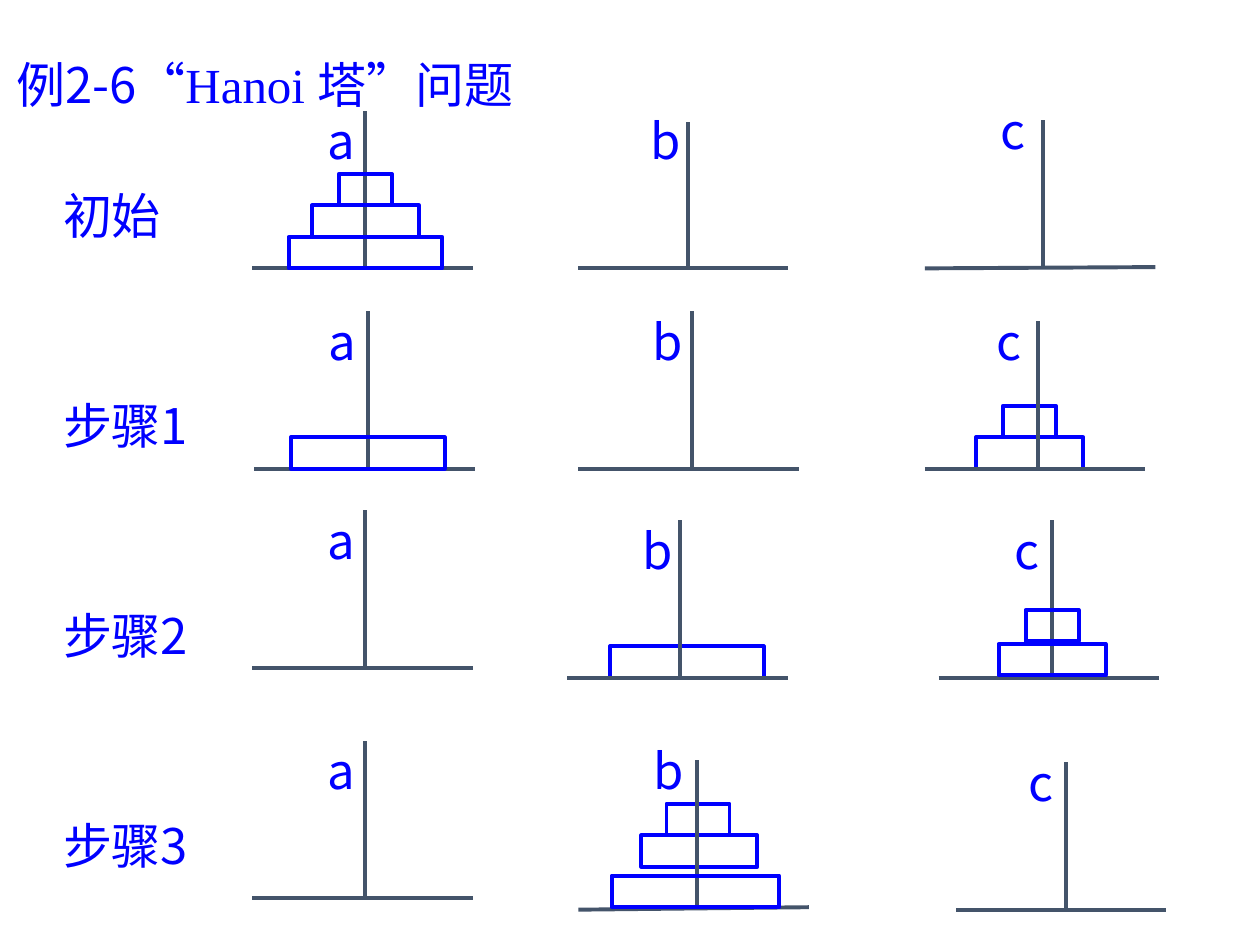
import pptx
import pptx.util
import pptx.dml.color
import pptx.enum.shapes
import pptx.enum.text
import pptx.oxml.ns
from lxml import etree

BLUE, SLATE = "0000FF", "44546A"
SANS, SERIF = "Noto Sans CJK SC", "Times New Roman"
LINE_WIDTH, TEXT_SIZE = 2.25, 28
TEXT_HEIGHT, DISK_HEIGHT = 0.47, 0.25

TITLE = [("例2-6“", SANS), ("Hanoi ", SERIF), ("塔”问题", SANS)]
STEPS = ["初始", "步骤1", "步骤2", "步骤3"]
STEP_LEFT, STEP_TOP, STEP_PITCH = 0.5, 1.47, 5 / 3

# Each peg: name, label (left, top, width), base (left, right, left y, right y),
# pole (x, top, foot), disks from bottom to top (centre, top, width),
# and whether each disk lies behind the pole
PEGS = [
    ("a", (2.6, 0.88, 0.25), (2, 3.75, 2.13, 2.13), (2.9, 0.88, 2.13),
     [(2.9, 1.88, 1.22, False), (2.9, 1.63, 0.85, False), (2.9, 1.38, 0.42, False)]),
    ("b", (5.16, 0.88, 0.33), (4.59, 6.25, 2.13, 2.13), (5.46, 0.97, 2.13), []),
    ("c", (7.94, 0.8, 0.58), (7.34, 9.17, 2.13, 2.12), (8.28, 0.95, 2.12), []),

    ("a", (2.61, 2.47, 0.25), (2.02, 3.77, 3.72, 3.72), (2.92, 2.47, 3.72),
     [(2.92, 3.47, 1.22, False)]),
    ("b", (5.18, 2.47, 0.25), (4.59, 6.34, 3.72, 3.72), (5.49, 2.47, 3.72), []),
    ("c", (7.91, 2.47, 0.33), (7.34, 9.09, 3.72, 3.72), (8.24, 2.55, 3.72),
     [(8.17, 3.47, 0.85, True), (8.17, 3.22, 0.42, True)]),

    ("a", (2.6, 4.05, 0.25), (2, 3.75, 5.3, 5.3), (2.9, 4.05, 5.3), []),
    ("b", (5.1, 4.13, 0.25), (4.5, 6.25, 5.38, 5.38), (5.4, 4.13, 5.38),
     [(5.45, 5.13, 1.22, True)]),
    ("c", (8.05, 4.13, 0.25), (7.45, 9.2, 5.38, 5.38), (8.35, 4.13, 5.38),
     [(8.35, 5.11, 0.85, False), (8.35, 4.84, 0.42, False)]),

    ("a", (2.6, 5.88, 0.25), (2, 3.75, 7.13, 7.13), (2.9, 5.88, 7.13), []),
    ("b", (5.19, 5.88, 0.58), (4.59, 6.42, 7.22, 7.2), (5.53, 6.03, 7.2),
     [(5.52, 6.95, 1.33, False), (5.55, 6.63, 0.92, True), (5.54, 6.38, 0.5, True)]),
    ("c", (8.16, 5.97, 0.33), (7.59, 9.25, 7.22, 7.22), (8.46, 6.05, 7.22), []),
]


def inches(*values):
    return [pptx.util.Inches(value) for value in values]


def color(value):
    return pptx.dml.color.RGBColor.from_string(value)


def style_line(shape, value):
    shape.line.color.rgb = color(value)
    shape.line.width = pptx.util.Pt(LINE_WIDTH)


def write(box, spans):
    frame = box.text_frame
    frame.word_wrap = True
    frame.auto_size = pptx.enum.text.MSO_AUTO_SIZE.NONE
    frame.vertical_anchor = pptx.enum.text.MSO_ANCHOR.TOP
    frame.margin_left = frame.margin_right = frame.margin_top = frame.margin_bottom = 0
    para = frame.paragraphs[0]
    para.alignment = pptx.enum.text.PP_ALIGN.LEFT
    for text, font in spans:
        span = para.add_run()
        span.text = text
        span.font.name = font
        span.font.size = pptx.util.Pt(TEXT_SIZE)
        span.font.color.rgb = color(BLUE)
        east_asian = etree.SubElement(span.font._element, pptx.oxml.ns.qn("a:ea"))
        east_asian.set("typeface", SANS)


def add_label(slide, text, left, top, width):
    box = slide.shapes.add_textbox(*inches(left, top, width, TEXT_HEIGHT))
    write(box, [(text, SANS)])


def add_line(slide, *ends):
    line = slide.shapes.add_connector(
        pptx.enum.shapes.MSO_CONNECTOR.STRAIGHT, *inches(*ends))
    style_line(line, SLATE)
    etree.SubElement(line._element.spPr, pptx.oxml.ns.qn("a:effectLst"))


def add_disks(slide, disks, behind):
    for center, top, width, is_behind in disks:
        if is_behind == behind:
            disk = slide.shapes.add_shape(
                pptx.enum.shapes.MSO_SHAPE.RECTANGLE,
                *inches(center - width / 2, top, width, DISK_HEIGHT))
            disk.shadow.inherit = False
            disk.fill.background()
            style_line(disk, BLUE)


def main():
    deck = pptx.Presentation()
    deck.slide_width, deck.slide_height = inches(10, 7.5)
    slide = deck.slides.add_slide(deck.slide_layouts[5])

    # Title
    title = slide.shapes.title
    title.left, title.top, title.width, title.height = inches(0.13, 0.43, 5, TEXT_HEIGHT)
    write(title, TITLE)

    # Pegs with their disks
    for name, label, base, pole, disks in PEGS:
        add_disks(slide, disks, behind=True)
        left, right, left_y, right_y = base
        add_line(slide, left, left_y, right, right_y)
        x, top, foot = pole
        add_line(slide, x, foot, x, top)
        add_disks(slide, disks, behind=False)
        add_label(slide, name, *label)

    # Step names
    for row, step in enumerate(STEPS):
        add_label(slide, step, STEP_LEFT, STEP_TOP + row * STEP_PITCH, 1.25)

    deck.save("out.pptx")


if __name__ == "__main__":
    main()
